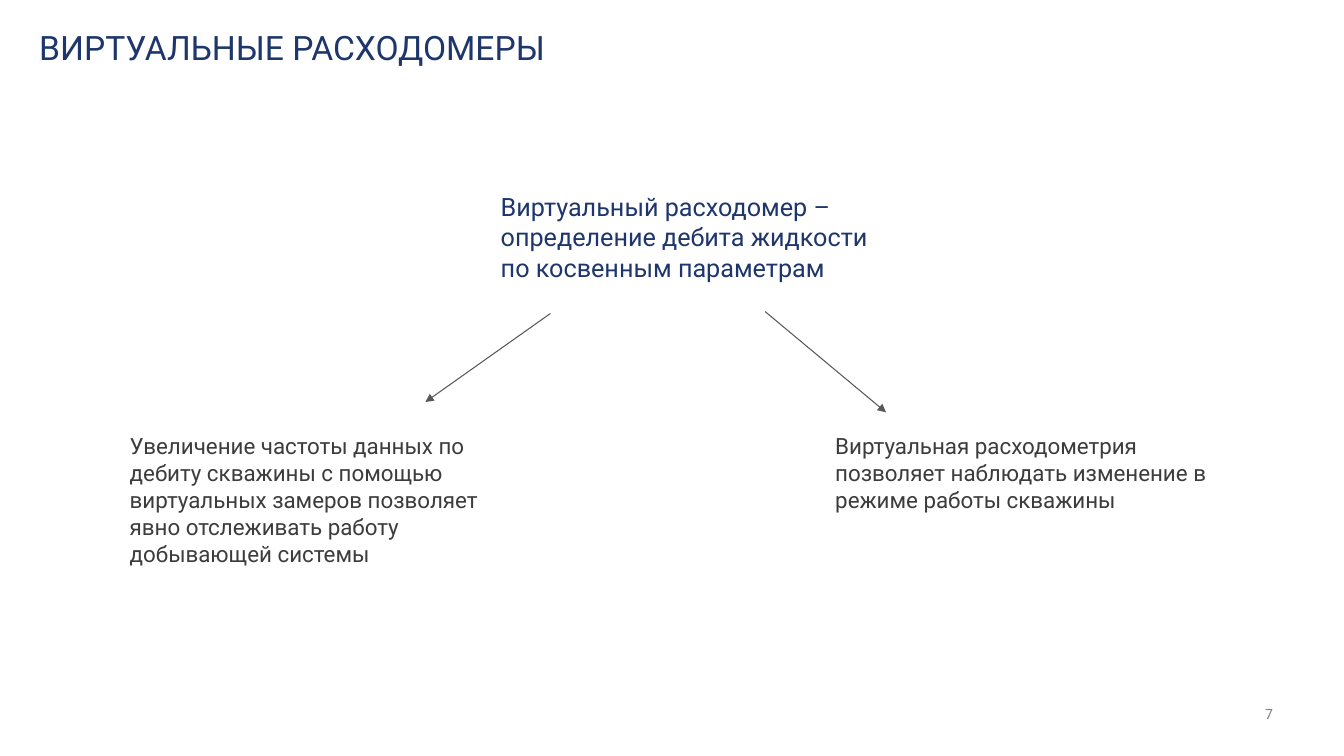
from lxml.etree import SubElement
from pptx import Presentation
from pptx.dml.color import RGBColor
from pptx.enum.shapes import MSO_CONNECTOR
from pptx.enum.text import MSO_ANCHOR, PP_ALIGN
from pptx.oxml.ns import qn
from pptx.util import Cm, Pt

NAVY = RGBColor(0x1E, 0x36, 0x6B)
DARK_GRAY = RGBColor(0x3C, 0x3C, 0x3C)
LINE_GRAY = RGBColor(0x57, 0x57, 0x57)
NUMBER_GRAY = RGBColor(0x80, 0x80, 0x80)
FONT = "Roboto"
INDENT = Cm(0.25)

# Content: boxes are (left, top, width, height) in cm
TITLE = "ВИРТУАЛЬНЫЕ РАСХОДОМЕРЫ"
TITLE_BOX = (0.99, 0.79, 30.38, 0.91)
PAGE_NUMBER = "7"
PAGE_NUMBER_BOX = (31.01, 17.78, 1.07, 0.43)

STATEMENTS = [
    ("Виртуальный расходомер – определение дебита жидкости по косвенным параметрам",
     (12.12, 4.7, 10.21, 2.57), 18, NAVY),
    ("Увеличение частоты данных по дебиту скважины с помощью виртуальных "
     "замеров позволяет явно отслеживать работу добывающей системы",
     (2.77, 10.77, 10.21, 3.68), 16, DARK_GRAY),
    ("Виртуальная расходометрия позволяет наблюдать изменение в режиме работы скважины",
     (20.55, 10.77, 10.16, 2.31), 16, DARK_GRAY),
]

# Arrows: start x, start y, end x, end y in cm
ARROWS = [
    (13.87, 7.9, 10.72, 10.13),
    (19.28, 7.85, 22.33, 10.39),
]


def add_text(slide, text, box, size, color):
    shape = slide.shapes.add_textbox(*map(Cm, box))
    frame = shape.text_frame
    frame.word_wrap = True
    paragraph = frame.paragraphs[0]
    paragraph.text = text
    paragraph.font.name = FONT
    paragraph.font.size = Pt(size)
    paragraph.font.color.rgb = color
    return frame, paragraph


def remove_margins(frame):
    frame.margin_left = frame.margin_right = 0
    frame.margin_top = frame.margin_bottom = 0


def add_arrow(slide, points):
    arrow = slide.shapes.add_connector(MSO_CONNECTOR.STRAIGHT, *map(Cm, points))
    arrow.line.color.rgb = LINE_GRAY
    arrow.line.width = Pt(0.75)
    SubElement(arrow.line._get_or_add_ln(), qn("a:tailEnd"), type="triangle")
    SubElement(arrow._element.spPr, qn("a:effectLst"))


def main():
    presentation = Presentation()
    presentation.slide_width = Cm(33.87)
    presentation.slide_height = Cm(19.05)
    slide = presentation.slides.add_slide(presentation.slide_layouts[6])

    # Title
    frame, paragraph = add_text(slide, TITLE, TITLE_BOX, 24, NAVY)
    remove_margins(frame)
    paragraph.line_spacing = 0.9

    # Definition and its two consequences
    for statement in STATEMENTS:
        frame, paragraph = add_text(slide, *statement)
        paragraph._p.get_or_add_pPr().set("marL", str(INDENT))
    for points in ARROWS:
        add_arrow(slide, points)

    # Page number
    frame, paragraph = add_text(slide, PAGE_NUMBER, PAGE_NUMBER_BOX, 10, NUMBER_GRAY)
    remove_margins(frame)
    frame.vertical_anchor = MSO_ANCHOR.BOTTOM
    paragraph.alignment = PP_ALIGN.RIGHT

    presentation.save("out.pptx")


if __name__ == "__main__":
    main()
